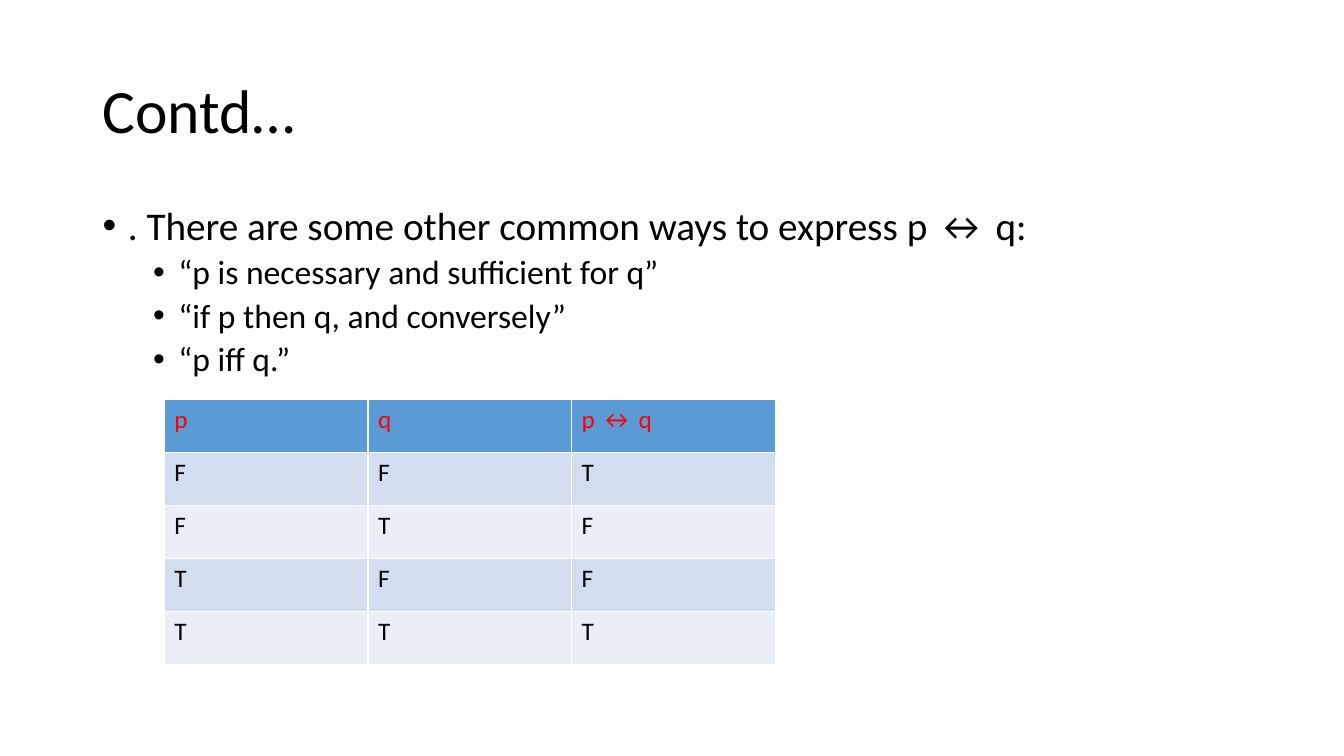
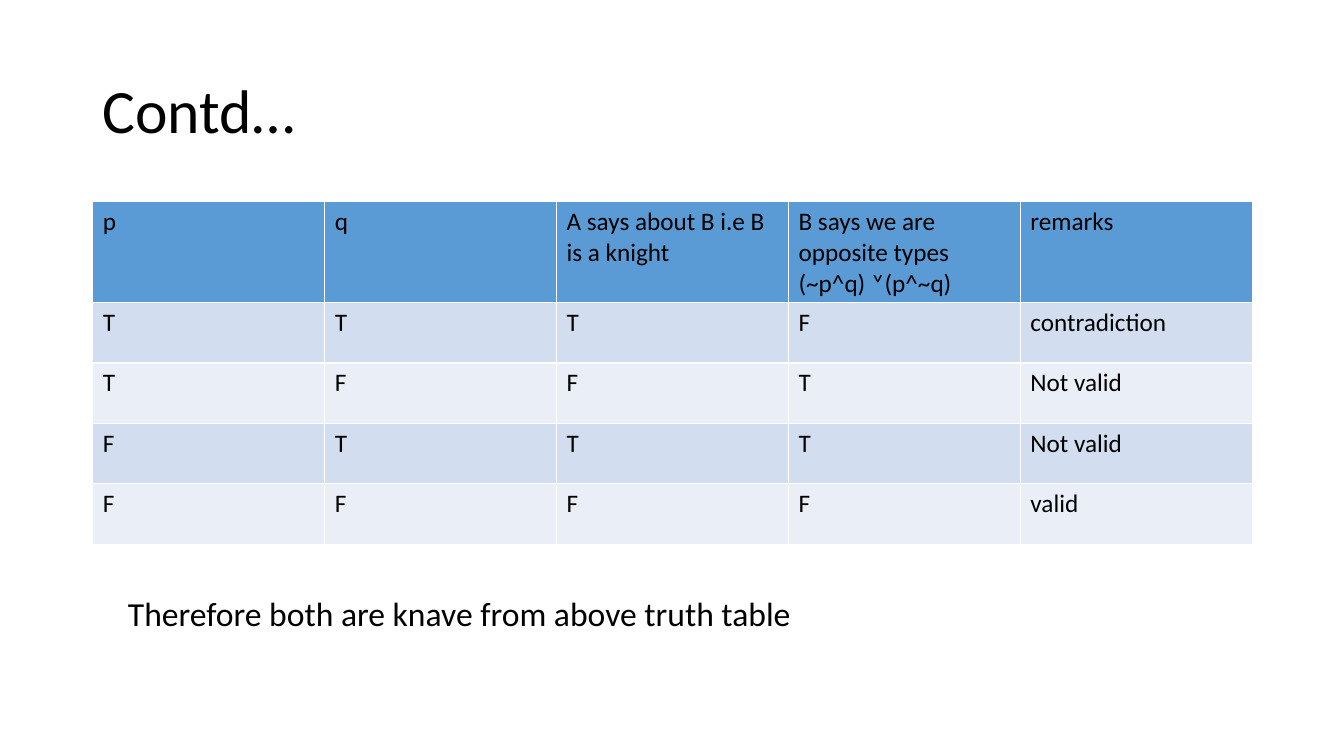
import pptx
import pptx.dml.color
import pptx.enum.text
import pptx.util
from lxml import etree

Inches = pptx.util.Inches
Pt = pptx.util.Pt
ANCHOR = pptx.enum.text.MSO_ANCHOR

FONT = "Calibri"
BLACK, RED = "000000", "FF0000"
HEADER_FILL = "5B9BD5"
BAND_FILLS = ("D2DEEF", "EAEFF7")
TITLE_BOX = (0.92, 0.4, 11.5, 1.45)
BULLET_LEVELS = (
    {"size": 28, "indent": 0.25, "before": 10},
    {"size": 24, "indent": 0.75, "before": 5},
)
HANGING = 0.25


def rgb(value):
    return pptx.dml.color.RGBColor.from_string(value)


def apply(target, values):
    for name, value in values.items():
        setattr(target, name, value)


def style_font(paragraph, size, color=BLACK):
    apply(paragraph.font, {"name": FONT, "size": Pt(size), "bold": False})
    paragraph.font.color.rgb = rgb(color)


def add_text_frame(slide, box, anchor=ANCHOR.TOP):
    frame = slide.shapes.add_textbox(*map(Inches, box)).text_frame
    apply(frame, {"word_wrap": True, "vertical_anchor": anchor})
    return frame


def add_title(slide, text):
    title = add_text_frame(slide, TITLE_BOX, ANCHOR.MIDDLE).paragraphs[0]
    apply(title, {"text": text, "line_spacing": 0.9})
    style_font(title, 44)


def add_bullets(slide, box, items):
    frame = add_text_frame(slide, box)
    for index, (level, text) in enumerate(items):
        bullet = frame.add_paragraph() if index else frame.paragraphs[0]
        look = BULLET_LEVELS[level]
        apply(bullet, {"text": text, "level": level, "line_spacing": 0.9,
                       "space_before": Pt(look["before"])})
        style_font(bullet, look["size"])
        properties = bullet.font._element.getparent()
        properties.set("marL", str(Inches(look["indent"])))
        properties.set("indent", str(-Inches(HANGING)))
        namespace = etree.QName(properties).namespace
        marks = (("buFont", {"typeface": "Arial"}), ("buChar", {"char": "•"}))
        default_run = bullet.font._element
        for tag, attributes in marks:
            mark = etree.Element(f"{{{namespace}}}{tag}", attributes)
            default_run.addprevious(mark)


def add_truth_table(slide, box, rows, header_height, header_color=BLACK):
    left, top, width, height = box
    table = slide.shapes.add_table(
        len(rows), len(rows[0]), *map(Inches, box)).table
    for column in table.columns:
        column.width = Inches(width / len(rows[0]))
    body_height = (height - header_height) / (len(rows) - 1)
    for index, values in enumerate(rows):
        is_header = index == 0
        table.rows[index].height = Inches(
            header_height if is_header else body_height)
        fill = HEADER_FILL if is_header else BAND_FILLS[(index - 1) % 2]
        for cell, value in zip(table.rows[index].cells, values):
            cell.text = value
            cell.fill.solid()
            cell.fill.fore_color.rgb = rgb(fill)
            for paragraph in cell.text_frame.paragraphs:
                style_font(paragraph, 18, header_color if is_header else BLACK)


def add_conclusion(slide, box, text):
    conclusion = add_text_frame(slide, box).paragraphs[0]
    conclusion.text = text
    style_font(conclusion, 24)


def build_biconditional(slide):
    add_title(slide, "Contd…")
    add_bullets(slide, (0.92, 2, 11.5, 4.76), [
        (0, ". There are some other common ways to express p ↔ q:"),
        (1, "“p is necessary and sufficient for q”"),
        (1, "“if p then q, and conversely”"),
        (1, "“p iff q.”"),
    ])
    rows = [("p", "q", "p ↔ q"), *map(tuple, ("FFT", "FTF", "TFF", "TTT"))]
    add_truth_table(slide, (1.63, 3.96, 6.06, 2.63), rows, 0.53, RED)


def build_knights(slide):
    add_title(slide, "Contd…")
    add_truth_table(slide, (0.92, 2, 11.5, 3.4), [
        ("p", "q", "A says about B i.e B is a knight",
         "B says we are opposite types\n(~p^q) ˅(p^~q)", "remarks"),
        (*"TTTF", "contradiction"),
        (*"TFFT", "Not valid"),
        (*"FTTT", "Not valid"),
        (*"FFFF", "valid"),
    ], 1)
    add_conclusion(slide, (1.17, 5.83, 7.78, 0.5),
                   "Therefore both are knave from above truth table")


def main():
    deck = pptx.Presentation()
    apply(deck, {"slide_width": Inches(13.33), "slide_height": Inches(7.5)})
    for build in (build_biconditional, build_knights):
        build(deck.slides.add_slide(deck.slide_layouts[6]))
    deck.save("out.pptx")


if __name__ == "__main__":
    main()
